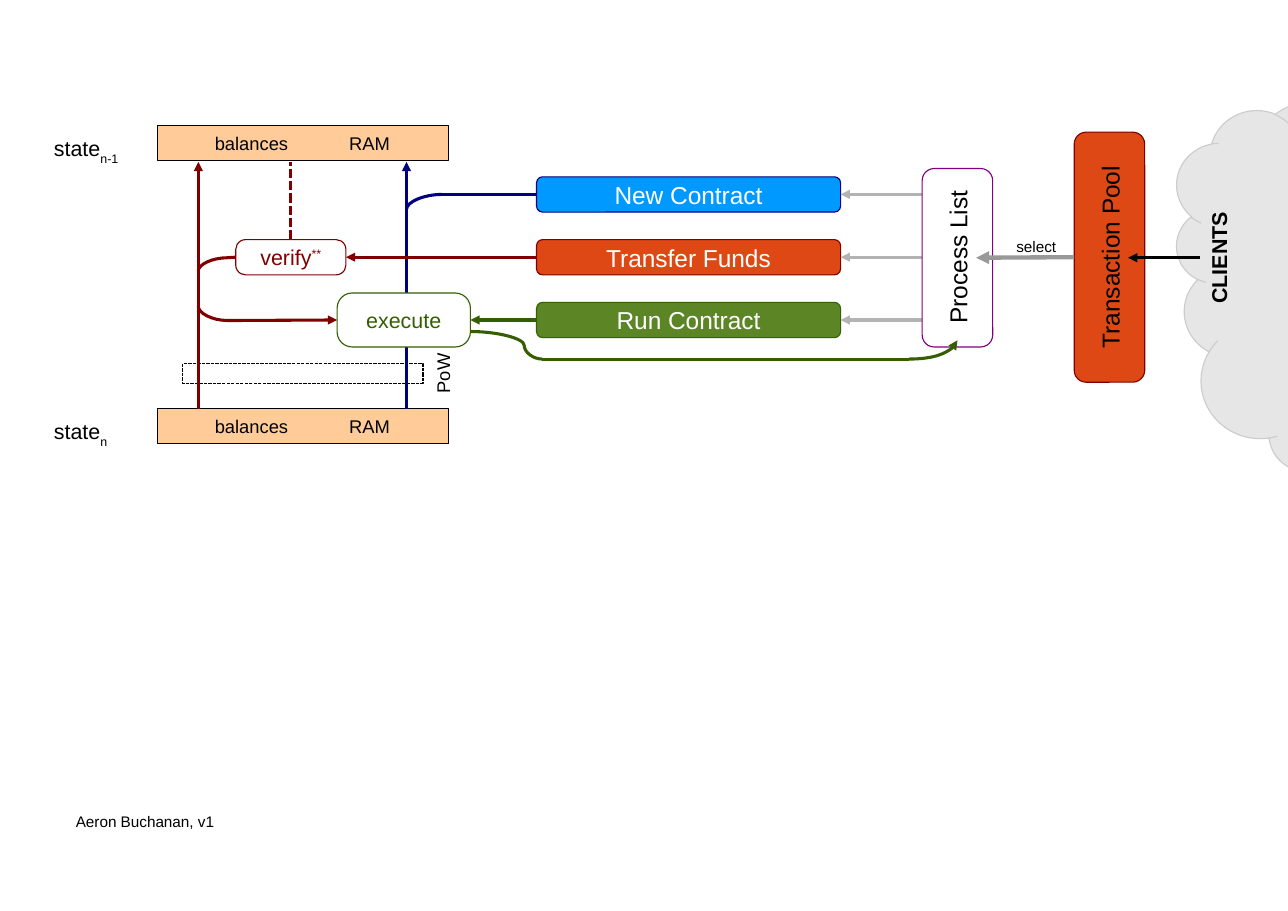
import pptx
import pptx.dml.color
import pptx.enum.dml
import pptx.enum.shapes
import pptx.enum.text
import pptx.oxml
import pptx.oxml.ns
import pptx.util

COLORS = {
    "black": "000000", "white": "FFFFFF", "maroon": "800000", "green": "355E00",
    "navy": "000080", "purple": "800080", "orange": "DD4814", "leaf": "5C8526",
    "blue": "0099FF", "peach": "FFCC99", "cloud": "E6E6E6", "edge": "CCCCCC",
    "pale": "B3B3B3", "gray": "999999",
}
SHAPES = pptx.enum.shapes.MSO_SHAPE
LINES = pptx.enum.shapes.MSO_CONNECTOR
ALIGN = pptx.enum.text.PP_ALIGN
ANCHOR = pptx.enum.text.MSO_ANCHOR
DASH = pptx.enum.dml.MSO_LINE.SQUARE_DOT
TOP, LEFT, BOTTOM, RIGHT = range(4)


class Board:
    font = "Arial"
    columns, rows = 116.9, 82.7

    def __init__(self):
        self.deck = pptx.Presentation()
        self.deck.slide_width = pptx.util.Inches(11.69)
        self.deck.slide_height = pptx.util.Inches(8.27)
        self.slide = self.deck.slides.add_slide(self.deck.slide_layouts[6])

    def grid(self, column, row):
        return (round(self.deck.slide_width * column / self.columns),
                round(self.deck.slide_height * row / self.rows))

    def color(self, name):
        return pptx.dml.color.RGBColor.from_string(COLORS[name])

    def add_runs(self, shape, runs, size, color, align=ALIGN.CENTER, bold=False):
        paragraph = shape.text_frame.paragraphs[0]
        paragraph.alignment = align
        for text, baseline in runs:
            run = paragraph.add_run()
            run.text = text
            run.font.name = self.font
            run.font.size = pptx.util.Pt(size)
            run.font.bold = bold
            run.font.color.rgb = self.color(color)
            if baseline:
                run.font._element.set("baseline", str(baseline * 1000))

    def block(self, kind, box, fill, line, text=(), size=16, color="white", corner=None):
        shape = self.slide.shapes.add_shape(kind, *self.grid(*box[:2]), *self.grid(*box[2:]))
        shape.shadow.inherit = False
        if fill:
            shape.fill.solid()
            shape.fill.fore_color.rgb = self.color(fill)
        else:
            shape.fill.background()
        shape.line.color.rgb = self.color(line)
        shape.line.width = pptx.util.Pt(0)
        if corner:
            shape.adjustments[0] = corner
        shape.text_frame.word_wrap = False
        shape.text_frame.vertical_anchor = ANCHOR.MIDDLE
        self.add_runs(shape, text, size, color)
        return shape

    def state(self, row, name_row, index):
        bar = self.block(SHAPES.RECTANGLE, (14.3, row, 26.4, 3.2), "peach", "black")
        bar.text_frame.word_wrap = True
        bar.text_frame.margin_left = self.grid(5.2, 0)[0]
        self.add_runs(bar, [("balances\tRAM", 0)], 12, "black", ALIGN.LEFT)
        stops = pptx.oxml.parse_xml(
            f'<a:tabLst {pptx.oxml.ns.nsdecls("a")}>'
            f'<a:tab pos="{self.grid(12.2, 0)[0]}" algn="l"/></a:tabLst>')
        bar.text_frame.paragraphs[0]._p.get_or_add_pPr().append(stops)
        self.label((3.9, name_row, 11.5, 3.6), [("state", 0), (index, -33)], 14, ALIGN.LEFT)

    def label(self, box, runs, size, align=ALIGN.CENTER, rotation=0, bold=False):
        shape = self.slide.shapes.add_textbox(*self.grid(*box[:2]), *self.grid(*box[2:]))
        shape.rotation = rotation
        shape.text_frame.word_wrap = True
        self.add_runs(shape, runs, size, "black", align, bold)

    def link(self, start, end, color, kind=LINES.STRAIGHT, preset=None, bend=None,
             arrow=True, dash=False, width=0, begin=None, finish=None):
        line = self.slide.shapes.add_connector(kind, *self.grid(*start), *self.grid(*end))
        if begin:
            line.begin_connect(*begin)
        if finish:
            line.end_connect(*finish)
        geometry = line._element.spPr.find(pptx.oxml.ns.qn("a:prstGeom"))
        if preset:
            geometry.set("prst", preset)
        if bend:
            guide = pptx.oxml.parse_xml(
                f'<a:gd {pptx.oxml.ns.nsdecls("a")} name="adj1" fmla="val {bend}"/>')
            geometry.get_or_add_avLst().append(guide)
        line.line.color.rgb = self.color(color)
        line.line.width = pptx.util.Pt(width)
        if dash:
            line.line.dash_style = DASH
        if arrow:
            line.line._get_or_add_ln().append(pptx.oxml.parse_xml(
                f'<a:tailEnd {pptx.oxml.ns.nsdecls("a")} type="triangle"/>'))
        line._element.spPr.append(pptx.oxml.parse_xml(
            f'<a:effectLst {pptx.oxml.ns.nsdecls("a")}/>'))

    def curve(self, start, end, color, arrow=False):
        self.link(start, end, color, LINES.CURVE, "curvedConnector2", arrow=arrow)


def main():
    board = Board()
    rounded = SHAPES.ROUNDED_RECTANGLE

    actions = []
    for row, fill, line, name in (
        (16.05, "blue", "navy", "New Contract"),
        (21.75, "orange", "maroon", "Transfer Funds"),
        (27.45, "leaf", "green", "Run Contract"),
    ):
        actions.append(board.block(rounded, (48.7, row, 27.6, 3.2), fill, line,
                                   [(name, 0)], corner=0.17))
    new_contract, transfer, run_contract = actions

    clients = board.block(SHAPES.CLOUD, (102.6, 13.4, 33.5, 25.3), "cloud", "edge")
    clients.rotation = 270
    board.label((103.7, 21.1, 15.1, 4.6), [("CLIENTS", 0)], 14, rotation=270, bold=True)

    board.state(11.4, 11.8, "n-1")
    board.state(37.1, 37.5, "n")

    pool = board.block(rounded, (97.5, 12, 6.4, 22.7), "orange", "maroon", corner=0.17)
    board.label((91.3, 21.6, 18.7, 3.5), [("Transaction Pool", 0)], 16, rotation=270)

    proof = board.block(SHAPES.RECTANGLE, (26.6, 23, 1.8, 21.8), None, "black",
                        [("PoW", 0)], 12, "black")
    proof.rotation = 270
    proof.line.dash_style = DASH
    proof.text_frame.vertical_anchor = ANCHOR.BOTTOM
    proof.text_frame.margin_bottom = board.grid(0, -2.8)[1]

    for column, color in ((36.9, "navy"), (18, "maroon")):
        board.link((column, 37.1), (column, 14.7), color)

    verify = board.block(rounded, (21.4, 21.75, 10, 3.2), "white", "maroon",
                         [("verify", 0), ("**", 33)], 14, "maroon", 0.28)
    execute = board.block(rounded, (30.6, 26.6, 12.1, 4.9), "white", "green",
                          [("execute", 0)], 14, "green", 0.28)

    board.link((48.7, 29.05), (42.7, 29.05), "green",
               begin=(run_contract, LEFT), finish=(execute, RIGHT))
    board.link((48.7, 23.4), (31.4, 23.4), "maroon",
               begin=(transfer, LEFT), finish=(verify, RIGHT))
    board.link((108.9, 23.4), (102.4, 23.4), "black")
    for action in actions:
        kind = LINES.STRAIGHT if action is transfer else LINES.ELBOW
        board.link((97.5, 23.4), (76.3, 23.4), "pale", kind,
                   begin=(pool, LEFT), finish=(action, RIGHT))

    board.curve((40.1, 17.65), (36.9, 19), "navy")
    board.link((40.1, 17.65), (48.7, 17.65), "navy", arrow=False, finish=(new_contract, LEFT))
    board.curve((20.6, 23.4), (18, 24.6), "maroon")
    board.curve((20.6, 29.1), (18, 27.8), "maroon")
    board.link((20.6, 23.4), (21.4, 23.4), "maroon", arrow=False, finish=(verify, LEFT))
    board.link((26.4, 21.75), (26.4, 14.7), "maroon", arrow=False, dash=True,
               begin=(verify, TOP))
    board.link((20.6, 29.1), (30.6, 29.1), "maroon", finish=(execute, LEFT))

    board.label((88.3, 21, 11.5, 2.5), [("select", 0)], 10)
    board.link((49.2, 32.6), (42.7, 30.1), "green", LINES.CURVE, bend=25000, arrow=False)
    board.link((49.2, 32.6), (82.5, 32.6), "green", arrow=False)

    board.block(rounded, (83.7, 15.3, 6.4, 16.2), "white", "purple", corner=0.17)
    board.link((97.5, 23.4), (88.6, 23.4), "gray", width=2.83, begin=(pool, LEFT))
    board.label((79.3, 21.6, 15.1, 3.5), [("Process List", 0)], 16, rotation=270)
    board.curve((82.5, 32.6), (86.9, 30.9), "green", arrow=True)

    board.label((5.9, 73.2, 27.6, 2.5), [("Aeron Buchanan, v1", 0)], 10, ALIGN.LEFT)
    board.deck.save("out.pptx")


if __name__ == "__main__":
    main()
